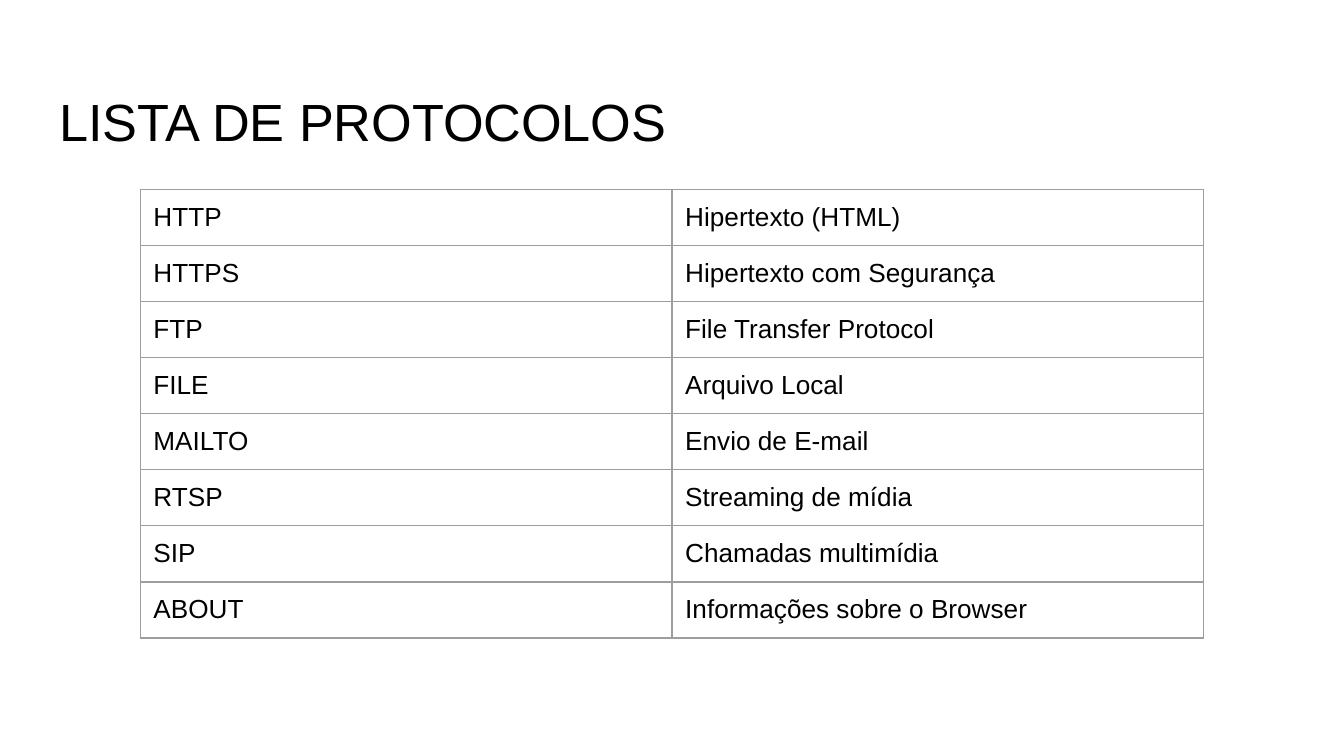
from lxml.etree import SubElement
from pptx import Presentation
from pptx.dml.color import RGBColor
from pptx.enum.text import MSO_ANCHOR as Anchor, PP_ALIGN as Align
from pptx.oxml.ns import qn
from pptx.util import Cm, Pt

PROTOCOLS = [
    ("HTTP", "Hipertexto (HTML)"),
    ("HTTPS", "Hipertexto com Segurança"),
    ("FTP", "File Transfer Protocol"),
    ("FILE", "Arquivo Local"),
    ("MAILTO", "Envio de E-mail"),
    ("RTSP", "Streaming de mídia"),
    ("SIP", "Chamadas multimídia"),
    ("ABOUT", "Informações sobre o Browser"),
]


def color(value):
    return RGBColor.from_string(value)


class ProtocolSlide:
    font = "Arial"
    ink = "000000"
    rule = "9E9E9E"
    inset = Cm(0.25)

    def __init__(self, deck):
        self.slide = deck.slides.add_slide(deck.slide_layouts[5])

    def style(self, paragraph, size):
        paragraph.alignment = Align.LEFT
        paragraph.font.name = self.font
        paragraph.font.size = Pt(size)
        paragraph.font.color.rgb = color(self.ink)

    def title(self, text, left, top, width, height):
        heading = self.slide.shapes.title
        heading.left, heading.top = Cm(left), Cm(top)
        heading.width, heading.height = Cm(width), Cm(height)
        frame = heading.text_frame
        frame.text = text
        frame.word_wrap = True
        frame.vertical_anchor = Anchor.TOP
        frame.margin_left = frame.margin_right = frame.margin_bottom = self.inset
        frame.margin_top = Cm(0.36)
        self.style(frame.paragraphs[0], 28)

    def table(self, rows, left, top, column_width, row_height):
        columns = len(rows[0])
        grid = self.slide.shapes.add_table(
            len(rows), columns, Cm(left), Cm(top),
            Cm(column_width * columns), Cm(row_height * len(rows))).table
        grid.first_row = grid.horz_banding = False
        for r, row in enumerate(rows):
            grid.rows[r].height = Cm(row_height)
            for c, text in enumerate(row):
                self.cell(grid.cell(r, c), text)

    def cell(self, cell, text):
        cell.text = text
        cell.vertical_anchor = Anchor.TOP
        cell.margin_left = cell.margin_right = self.inset
        cell.margin_top = cell.margin_bottom = self.inset
        self.style(cell.text_frame.paragraphs[0], 14)
        self.borders(cell)
        cell.fill.background()

    def borders(self, cell):
        properties = cell._tc.get_or_add_tcPr()
        for side in ("a:lnL", "a:lnR", "a:lnT", "a:lnB"):
            line = SubElement(properties, qn(side), w=str(Pt(0.75)))
            fill = SubElement(line, qn("a:solidFill"))
            SubElement(fill, qn("a:srgbClr"), val=self.rule)


def main():
    deck = Presentation()
    deck.slide_width, deck.slide_height = Cm(25.4), Cm(14.29)
    page = ProtocolSlide(deck)
    page.title("LISTA DE PROTOCOLOS", 0.87, 1.32, 23.67, 1.6)
    page.table(PROTOCOLS, 2.65, 3.58, 10.05, 1.06)
    deck.save("out.pptx")


if __name__ == "__main__":
    main()
